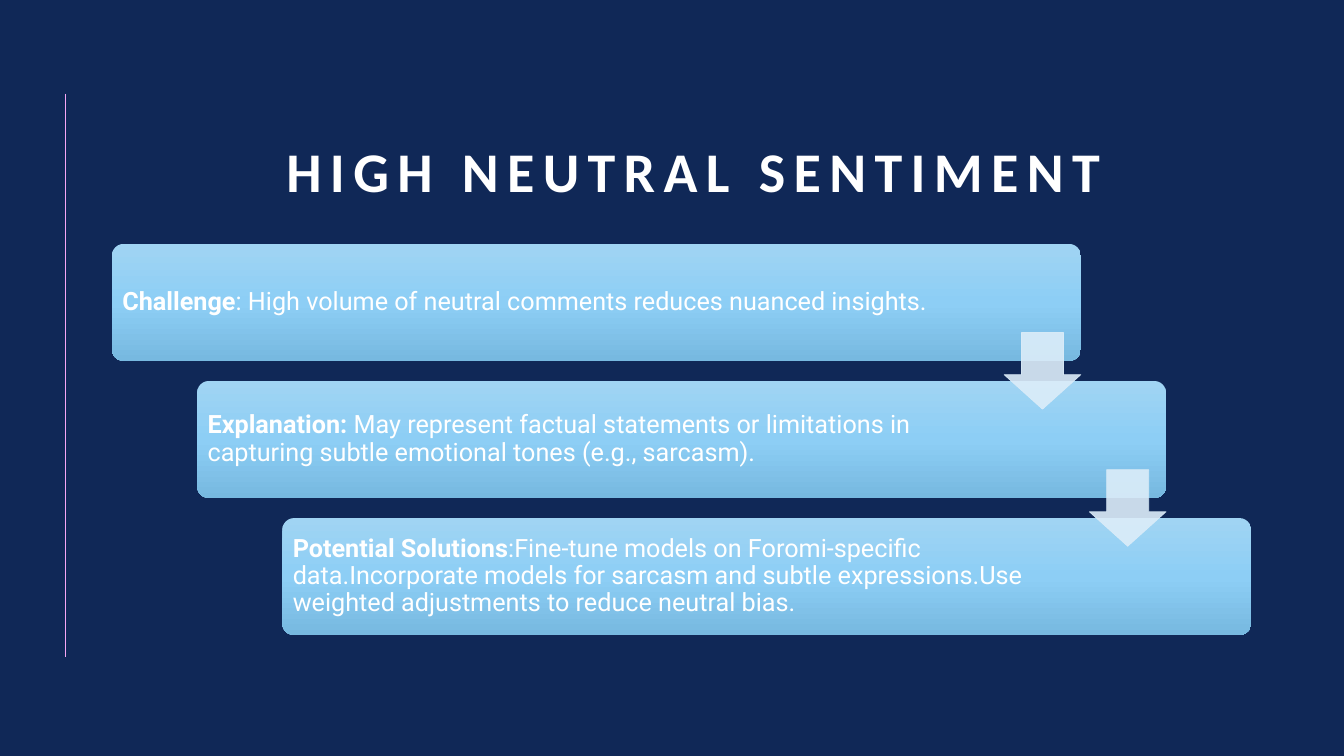
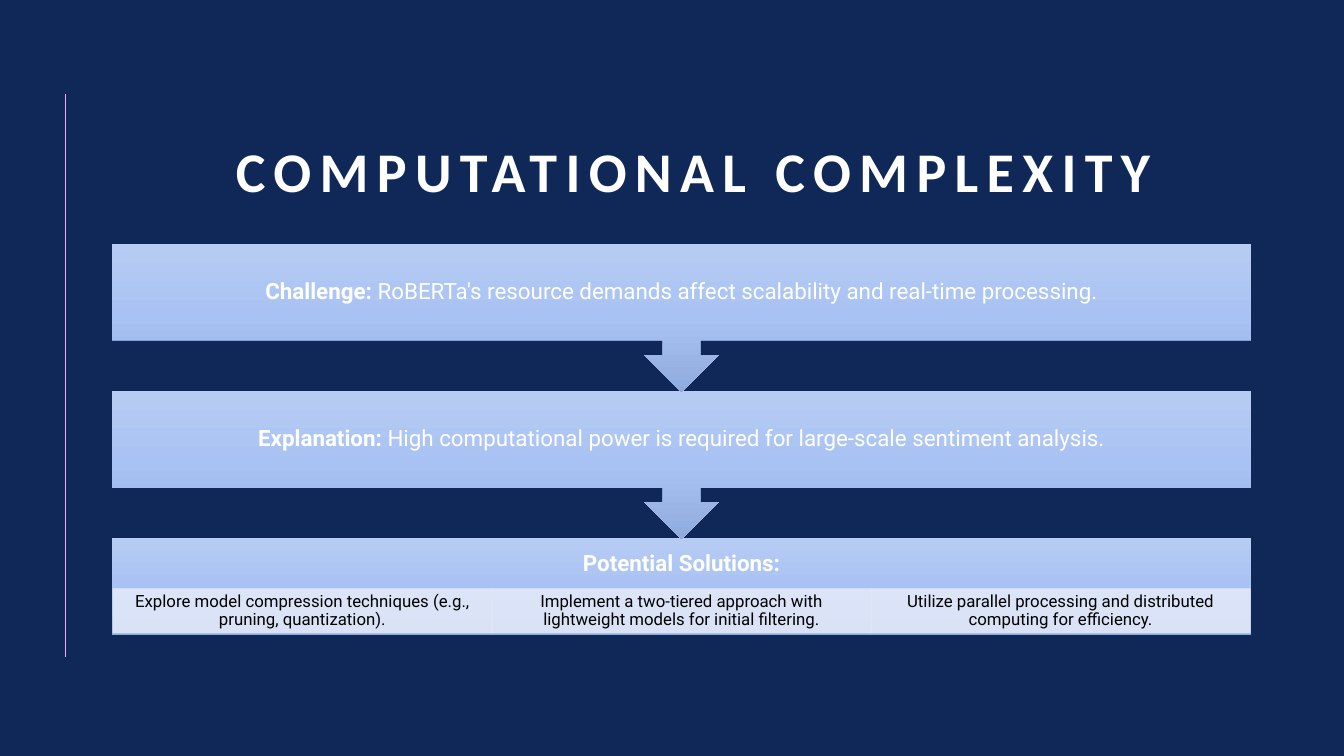
import dataclasses

import lxml.etree
import pptx
import pptx.dml.color
import pptx.enum.shapes
import pptx.enum.text
import pptx.oxml.ns
import pptx.util

Inches = pptx.util.Inches
Pt = pptx.util.Pt
RGBColor = pptx.dml.color.RGBColor
qn = pptx.oxml.ns.qn
SHAPE = pptx.enum.shapes.MSO_SHAPE
ALIGN = pptx.enum.text.PP_ALIGN
ANCHOR = pptx.enum.text.MSO_ANCHOR


@dataclasses.dataclass(frozen=True)
class Theme:
    background: str = "102857"
    rule: str = "F6A6F4"
    white: str = "FFFFFF"
    black: str = "000000"
    step_gradient: tuple = ("A0D4F3", "8DCEF5", "77B9E0")
    flow_gradient: tuple = ("B7CCF3", "A8C2F3", "90ABDD")
    step_arrow: str = "DCEDF9"
    solution: str = "E2E9F9"
    title_font: str = "Calibri"
    body_font: str = "Roboto"
    title_size: int = 40
    step_size: int = 18
    flow_size: int = 16
    solution_size: int = 12
    title_tracking: int = 6
    line_spacing: float = 0.9
    opacity: int = 90


THEME = Theme()
DIAGRAM_BOX = (1.11, 2.42, 11.3, 3.88)
TITLE_BOX = (0.93, 0.91, 11.9, 1.17)

STEPS = [
    ("Challenge", ": High volume of neutral comments reduces nuanced insights."),
    ("Explanation: ", "May represent factual statements or limitations in capturing "
                      "subtle emotional tones (e.g., sarcasm)."),
    ("Potential Solutions", ":Fine-tune models on Foromi-specific data.Incorporate models "
                            "for sarcasm and subtle expressions.Use weighted adjustments "
                            "to reduce neutral bias."),
]
FLOW = [
    ("Challenge:", " RoBERTa's resource demands affect scalability and real-time processing."),
    ("Explanation:", " High computational power is required for large-scale sentiment analysis."),
]
SOLUTIONS = [
    "Explore model compression techniques (e.g., pruning, quantization).",
    "Implement a two-tiered approach with lightweight models for initial filtering.",
    "Utilize parallel processing and distributed computing for efficiency.",
]


def set_attributes(target, values):
    for name, value in values.items():
        setattr(target, name, value)


def inch_box(box):
    return [Inches(length) for length in box]


def write_text(shape, bold, plain="", size=18, color=THEME.white, font=THEME.body_font,
               align=ALIGN.LEFT, anchor=ANCHOR.MIDDLE, insets=(0.1, 0.05, 0.1, 0.05)):
    """Write one paragraph with a bold lead and a plain remainder; return its runs."""
    left, top, right, bottom = inch_box(insets)
    frame = shape.text_frame
    set_attributes(frame, {
        "word_wrap": True, "vertical_anchor": anchor, "margin_left": left,
        "margin_top": top, "margin_right": right, "margin_bottom": bottom,
    })
    paragraph = frame.paragraphs[0]
    set_attributes(paragraph, {"alignment": align, "line_spacing": THEME.line_spacing})
    runs = []
    for text, is_bold in ((bold, True), (plain, False)):
        if text:
            run = paragraph.add_run()
            run.text = text
            set_attributes(run.font, {"name": font, "size": Pt(size), "bold": is_bold})
            run.font.color.rgb = RGBColor.from_string(color)
            runs.append(run)
    return runs


def add_block(slide, kind, box, adjustments=()):
    shape = slide.shapes.add_shape(kind, *inch_box(box))
    shape.shadow.inherit = False
    shape.line.fill.background()
    for index, value in enumerate(adjustments):
        shape.adjustments[index] = value
    return shape


def fill_gradient(shape, colors):
    """Fill from top to bottom with evenly spaced colours."""
    shape.fill.gradient()
    shape.fill.gradient_angle = 270
    stops = shape._element.spPr.find(".//" + qn("a:gsLst"))
    for stop in list(stops):
        stops.remove(stop)
    for index, color in enumerate(colors):
        position = round(100000 * index / (len(colors) - 1))
        stop = lxml.etree.SubElement(stops, qn("a:gs"), pos=str(position))
        lxml.etree.SubElement(stop, qn("a:srgbClr"), val=color)


def fill_translucent(shape, color):
    """Give fill and outline the same slightly transparent colour."""
    shape.line.width = Pt(0.5)
    shape.fill.solid()
    shape.line.fill.solid()
    for fill in (shape.fill, shape.line.fill):
        fill.fore_color.rgb = RGBColor.from_string(color)
    for element in shape._element.spPr.iter(qn("a:srgbClr")):
        lxml.etree.SubElement(element, qn("a:alpha"), val=str(THEME.opacity * 1000))


def add_titled_slide(presentation, title):
    slide = presentation.slides.add_slide(presentation.slide_layouts[6])
    slide.background.fill.solid()
    slide.background.fill.fore_color.rgb = RGBColor.from_string(THEME.background)
    rule = slide.shapes.add_connector(pptx.enum.shapes.MSO_CONNECTOR.STRAIGHT,
                                      *inch_box((0.65, 0.93, 0.65, 6.52)))
    rule.line.width = Pt(0.5)
    rule.line.color.rgb = RGBColor.from_string(THEME.rule)
    lxml.etree.SubElement(rule._element.spPr, qn("a:effectLst"))
    title_box = slide.shapes.add_textbox(*inch_box(TITLE_BOX))
    runs = write_text(title_box, title, size=THEME.title_size, font=THEME.title_font,
                      align=ALIGN.CENTER, anchor=ANCHOR.BOTTOM)
    for run in runs:
        run.font._element.set("spc", str(THEME.title_tracking * 100))
    return slide


def add_staircase(slide, box, steps):
    """Place cards stepping down to the right, with an arrow between neighbours."""
    left, top, width, height = box
    card_width, card_height, arrow_size = 9.61, 1.16, 0.76
    shift = (width - card_width) / (len(steps) - 1)
    drop = (height - card_height) / (len(steps) - 1)
    for index, (lead, detail) in enumerate(steps):
        card = add_block(slide, SHAPE.ROUNDED_RECTANGLE,
                         (left + index * shift, top + index * drop, card_width, card_height),
                         (0.1,))
        fill_gradient(card, THEME.step_gradient)
        right_inset = 1.68 if index else 1.26
        write_text(card, lead, detail, THEME.step_size,
                   insets=(0.07, 0.07, right_inset, 0.07))
    for index in range(len(steps) - 1):
        arrow_left = left + index * shift + card_width - arrow_size
        arrow = add_block(slide, SHAPE.DOWN_ARROW,
                          (arrow_left, top + index * drop + 0.88, arrow_size, arrow_size),
                          (0.55, 0.45))
        fill_translucent(arrow, THEME.step_arrow)


def add_solutions_panel(slide, box, heading, solutions):
    left, top, width, height = box
    panel = add_block(slide, SHAPE.RECTANGLE, box)
    fill_gradient(panel, THEME.flow_gradient)
    write_text(panel, heading, size=THEME.flow_size, align=ALIGN.CENTER,
               insets=(0.12, 0.12, 0.12, height - 0.4))
    cell_width = (width - 0.02) / len(solutions)
    for index, solution in enumerate(solutions):
        cell = add_block(slide, SHAPE.RECTANGLE,
                         (left + 0.01 + index * cell_width, top + 0.5, cell_width, 0.44))
        fill_translucent(cell, THEME.solution)
        write_text(cell, "", solution, THEME.solution_size, THEME.black,
                   align=ALIGN.CENTER, insets=(0.09, 0.02, 0.09, 0.02))


def add_flow(slide, box, stages, heading, solutions):
    """Stack arrow callouts that lead down to the panel of solutions."""
    left, top, width, height = box
    panel_height = 0.96
    pitch = (height - panel_height) / len(stages)
    add_solutions_panel(slide, (left, top + len(stages) * pitch, width, panel_height),
                        heading, solutions)
    for index, (lead, detail) in reversed(list(enumerate(stages))):
        callout = add_block(slide, SHAPE.DOWN_ARROW_CALLOUT,
                            (left, top + index * pitch, width, pitch + 0.01))
        fill_gradient(callout, THEME.flow_gradient)
        write_text(callout, lead, detail, THEME.flow_size, align=ALIGN.CENTER,
                   insets=(0.12,) * 4)


def main():
    presentation = pptx.Presentation()
    set_attributes(presentation, {"slide_width": Inches(13.33), "slide_height": Inches(7.5)})
    add_staircase(add_titled_slide(presentation, "HIGH NEUTRAL SENTIMENT"), DIAGRAM_BOX, STEPS)
    add_flow(add_titled_slide(presentation, "COMPUTATIONAL COMPLEXITY"), DIAGRAM_BOX,
             FLOW, "Potential Solutions:", SOLUTIONS)
    presentation.save("out.pptx")


if __name__ == "__main__":
    main()
